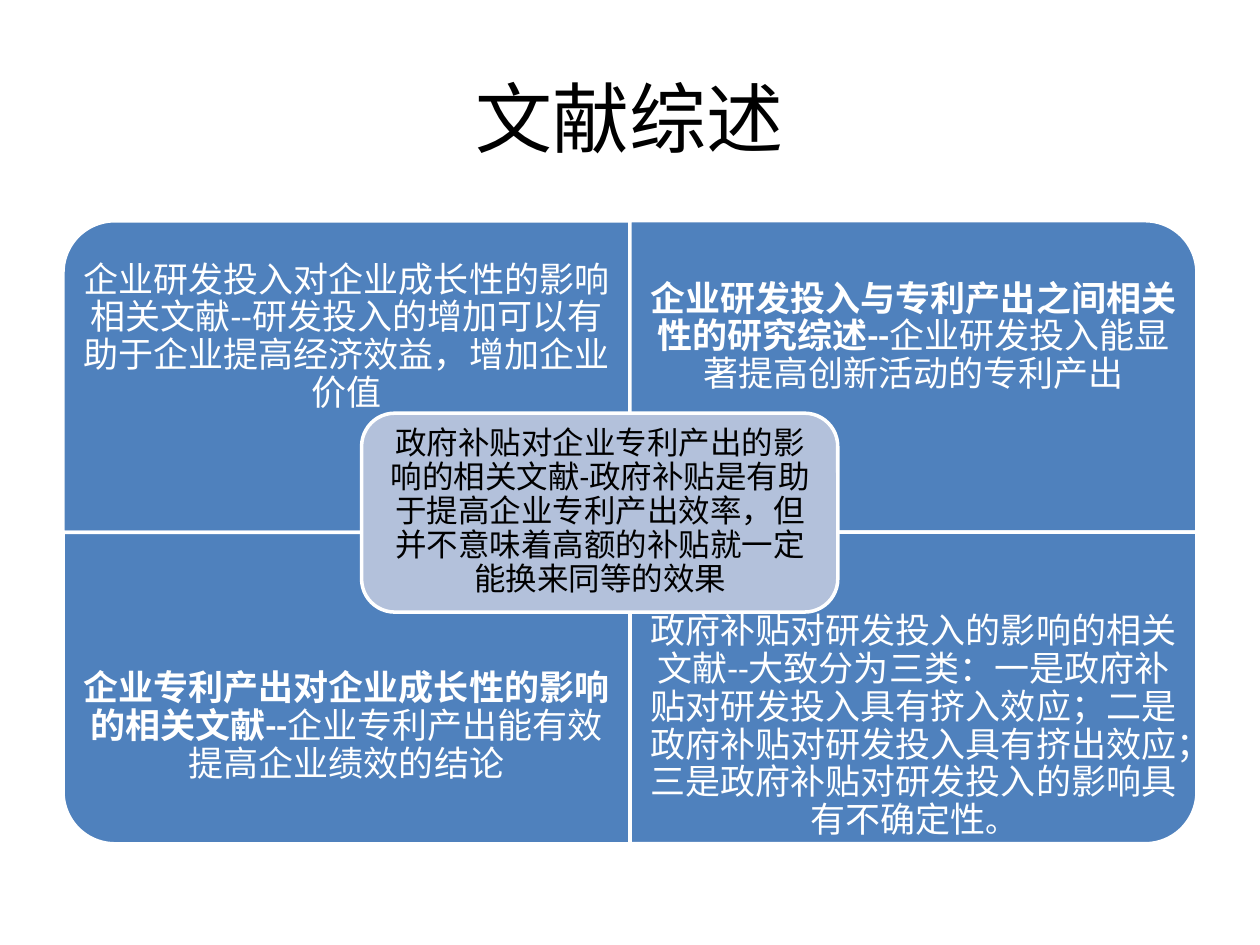
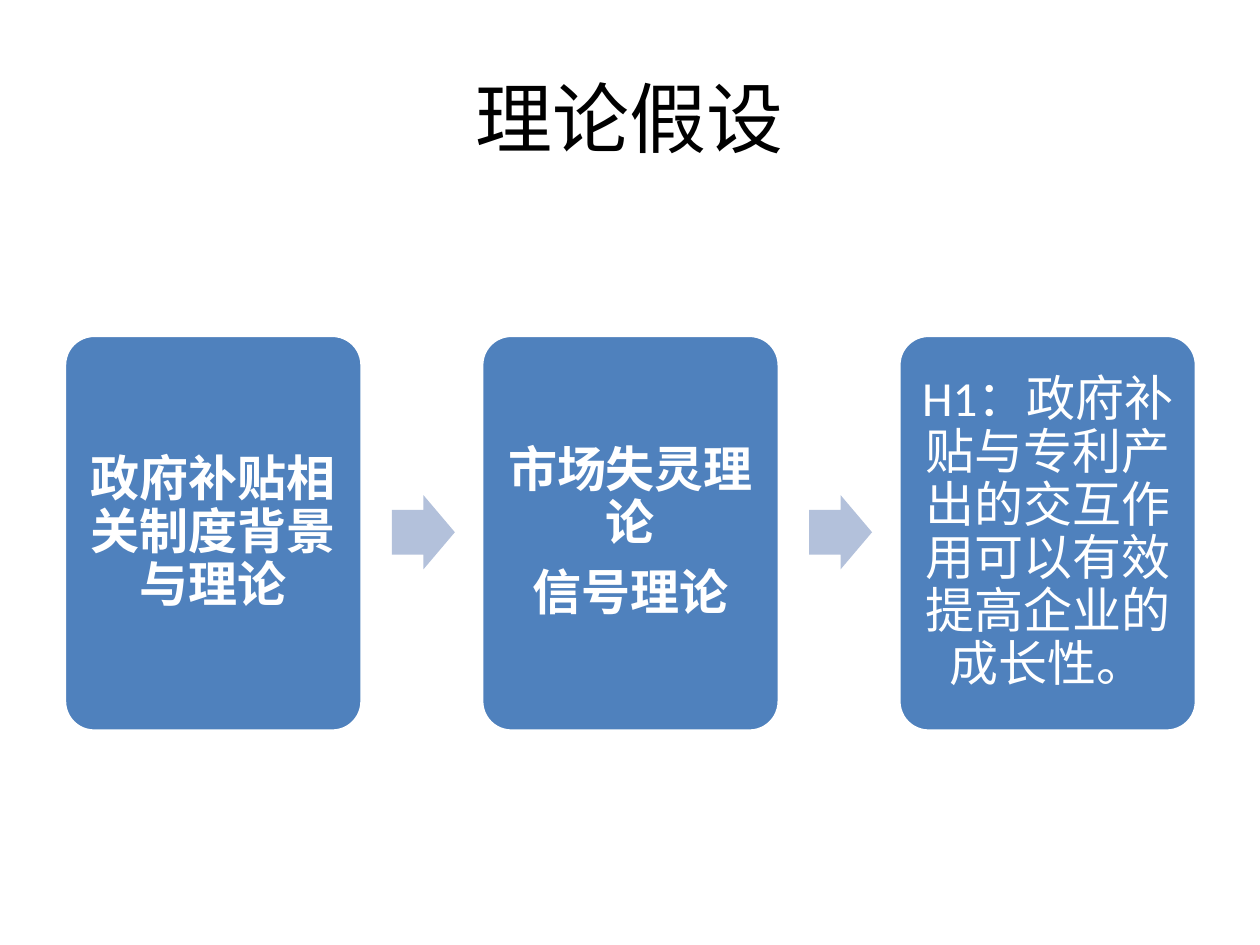
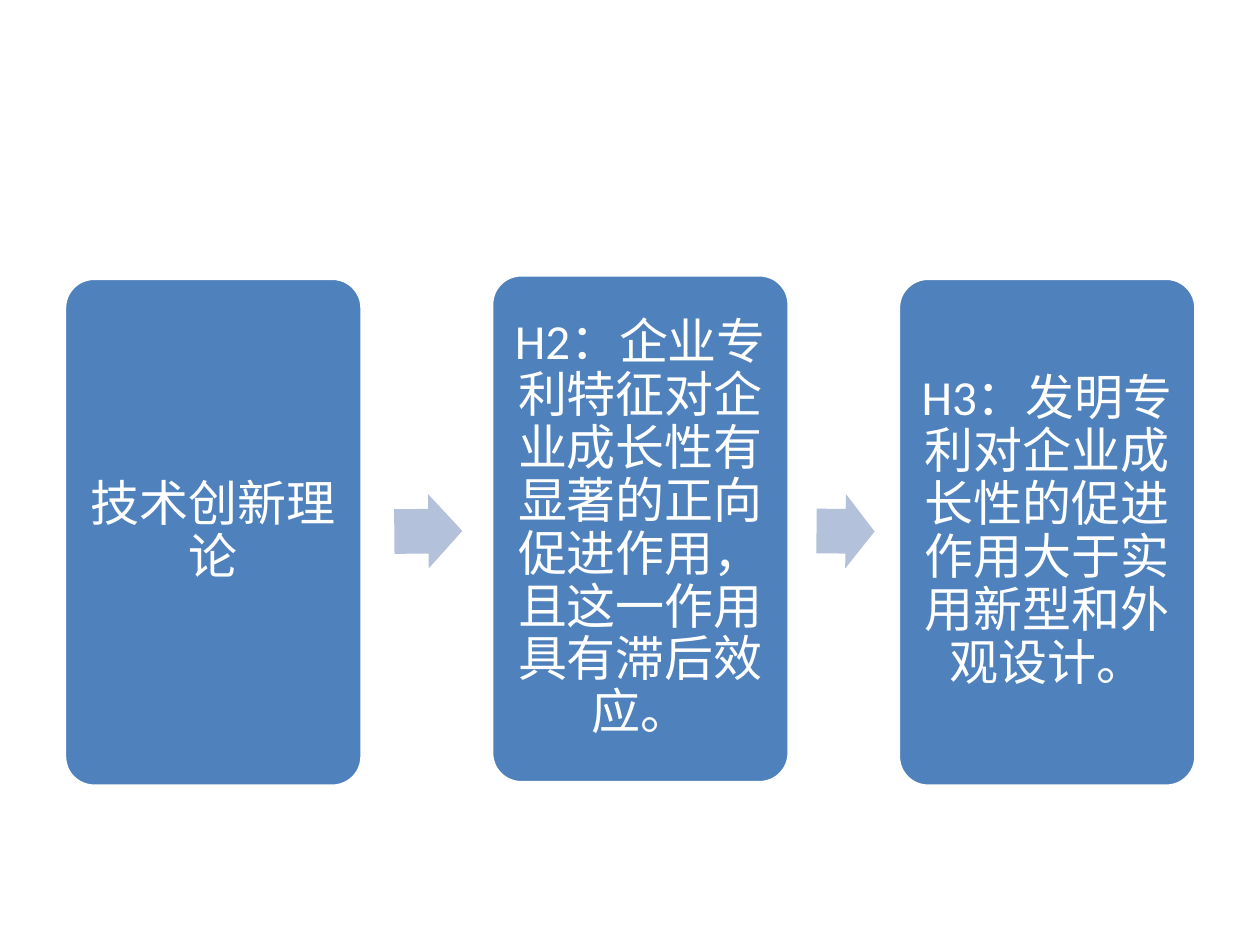
"""Builds three slides: literature review and two chains of hypotheses."""
from pptx import Presentation
from pptx.dml.color import RGBColor
from pptx.enum import shapes, text
from pptx.util import Cm, Pt

BLUE = RGBColor(0x4F, 0x81, 0xBD)
PALE = RGBColor(0xB3, 0xC1, 0xDB)
WHITE = RGBColor(0xFF, 0xFF, 0xFF)
BLACK = RGBColor(0x00, 0x00, 0x00)
FONT = "Calibri"
TITLE_ONLY, BLANK = 5, 6
KIND = shapes.MSO_SHAPE


class Pages:
    """Holds the shared style and the slide being filled."""

    def __init__(self):
        """Open an empty 4:3 deck."""
        self.deck = Presentation()
        self.deck.slide_width, self.deck.slide_height = Cm(25.4), Cm(19.05)
        self.page = None

    def start(self, title=None):
        """Add a slide, with a title when one is given."""
        layout = self.deck.slide_layouts[TITLE_ONLY if title else BLANK]
        self.page = self.deck.slides.add_slide(layout)
        if title:
            box = self.page.shapes.title
            box.left, box.top = Cm(1.27), Cm(0.76)
            box.width, box.height = Cm(22.86), Cm(3.18)
            box.text_frame.text = title
            para = box.text_frame.paragraphs[0]
            para.alignment = text.PP_ALIGN.CENTER
            self.style(para.runs[0], 44, BLACK)

    def style(self, span, size, color, bold=False):
        """Format one run."""
        span.font.name, span.font.size = FONT, Pt(size)
        span.font.color.rgb, span.font.bold = color, bold

    def shape(self, kind, left, top, width, height, fill, outlined=True,
              rotation=0, adjust=()):
        """Draw a flat preset shape; lengths are centimetres."""
        box = self.page.shapes.add_shape(
            kind, Cm(left), Cm(top), Cm(width), Cm(height))
        box.shadow.inherit = False
        box.fill.solid()
        box.fill.fore_color.rgb = fill
        if outlined:
            box.line.color.rgb, box.line.width = WHITE, Pt(2)
        else:
            box.line.fill.background()
        box.rotation = rotation
        for index, value in enumerate(adjust):
            box.adjustments[index] = value

    def label(self, left, top, width, height, paragraphs, size, inset,
              color=WHITE):
        """Write centred paragraphs, each a list of (text, bold, size or None)."""
        box = self.page.shapes.add_textbox(
            Cm(left), Cm(top), Cm(width), Cm(height))
        frame = box.text_frame
        frame.word_wrap = True
        frame.vertical_anchor = text.MSO_ANCHOR.MIDDLE
        frame.margin_left = frame.margin_right = Cm(inset)
        frame.margin_top = frame.margin_bottom = Cm(inset)
        for index, spans in enumerate(paragraphs):
            para = frame.add_paragraph() if index else frame.paragraphs[0]
            para.alignment = text.PP_ALIGN.CENTER
            para.line_spacing = 0.9
            para.space_after = Pt(0.35 * size)
            for words, bold, own_size in spans:
                span = para.add_run()
                span.text = words
                self.style(span, own_size or size, color, bold)

    def quadrant(self, column, row, spans):
        """Draw one panel of the two-by-two matrix, rounded at its outer corner."""
        width, height = 11.43, 6.28
        left, top = 1.27 + column * width, 4.45 + row * height
        rotation = {(0, 0): 270, (1, 0): 0, (1, 1): 90, (0, 1): 180}[column, row]
        if rotation in (90, 270):
            shift = (width - height) / 2
            frame = (left + shift, top - shift, height, width)
        else:
            frame = (left, top, width, height)
        self.shape(KIND.ROUND_1_RECTANGLE, *frame, BLUE, rotation=rotation)
        text_height = 0.75 * height
        text_top = top + row * (height - text_height)
        self.label(left, text_top, width, text_height, [spans], 20, 0.4)

    def step(self, left, top, height, lines, bold=False):
        """Draw one box of a chain."""
        width, edge = 6, 0.17
        self.shape(KIND.ROUNDED_RECTANGLE, left, top, width, height, BLUE,
                   adjust=[0.1])
        self.label(left + edge, top + edge, width - 2 * edge, height - 2 * edge,
                   [[(line, bold, None)] for line in lines], 28, 0.3)

    def arrow(self, left, top, width, rotation=0):
        """Draw the block arrow between two steps."""
        self.shape(KIND.RIGHT_ARROW, left, top, width, 1.5, PALE, outlined=False,
                   rotation=rotation, adjust=[0.6, 0.5])


def literature(pages):
    """Matrix of four strands of literature around a fifth."""
    pages.start("文献综述")
    pages.quadrant(0, 0, [
        ("企业研发投入对企业成长性的影响相关文献--研发投入的增加可以"
         "有助于企业提高经济效益，增加企业价值", False, None)])
    pages.quadrant(1, 0, [
        ("企业研发投入与专利产出之间相关性的研究综述--", True, None),
        ("企业研发投入能显著提高创新活动的专利产出", False, None)])
    pages.quadrant(0, 1, [
        ("企业专利产出对企业成长性的影响的相关文献--", True, None),
        ("企业专利产出能有效提高企业绩效的结论", False, None)])
    pages.quadrant(1, 1, [
        ("政府补贴对研发投入的影响的相关文献--大致分为三类：一是政府"
         "补贴对研发投入具有挤入效应；二是政府补贴对研发投入具有挤出效"
         "应；三是政府补贴对研发投入的影响具有不确定性", False, None),
        ("。", False, 18)])
    pages.shape(KIND.ROUNDED_RECTANGLE, 7.29, 8.33, 9.6, 4.01, PALE)
    pages.label(7.49, 8.52, 9.22, 3.63, [[
        ("政府补贴对企业专利产出的影响的相关文献-政府补贴是有助于提高"
         "企业专利产出效率，但并不意味着高额的补贴就一定能换来同等的效果",
         False, None)]], 18, 0.19, BLACK)


def theory(pages):
    """Chain from policy background to the first hypothesis."""
    pages.start("理论假设")
    steps = [
        (["政府补贴相关制度背景与理论"], True),
        (["市场失灵理论", "信号理论"], True),
        (["H1：政府补贴与专利产出的交互作用可以有效提高企业的成长性。"], False),
    ]
    pitch = 8.41
    for index, (lines, bold) in enumerate(steps):
        if index:
            pages.arrow(7.9 + (index - 1) * pitch, 9.98, 1.27)
        pages.step(1.3 + index * pitch, 6.76, 7.98, lines, bold)


def hypotheses(pages):
    """Chain from innovation theory to the other two hypotheses."""
    pages.start()
    height = 10.24
    pages.step(1.3, 5.61, height, ["技术创新理论"])
    pages.arrow(7.95, 9.96, 1.37, 359.5)
    pages.step(9.91, 5.54, height, [
        "H2：企业专利特征对企业成长性有显著的正向促进作用，"
        "且这一作用具有滞后效应。"])
    pages.arrow(16.46, 9.96, 1.17, 0.5)
    pages.step(18.11, 5.61, height, [
        "H3：发明专利对企业成长性的促进作用大于实用新型和外观设计。"])


pages = Pages()
literature(pages)
theory(pages)
hypotheses(pages)
pages.deck.save("out.pptx")
